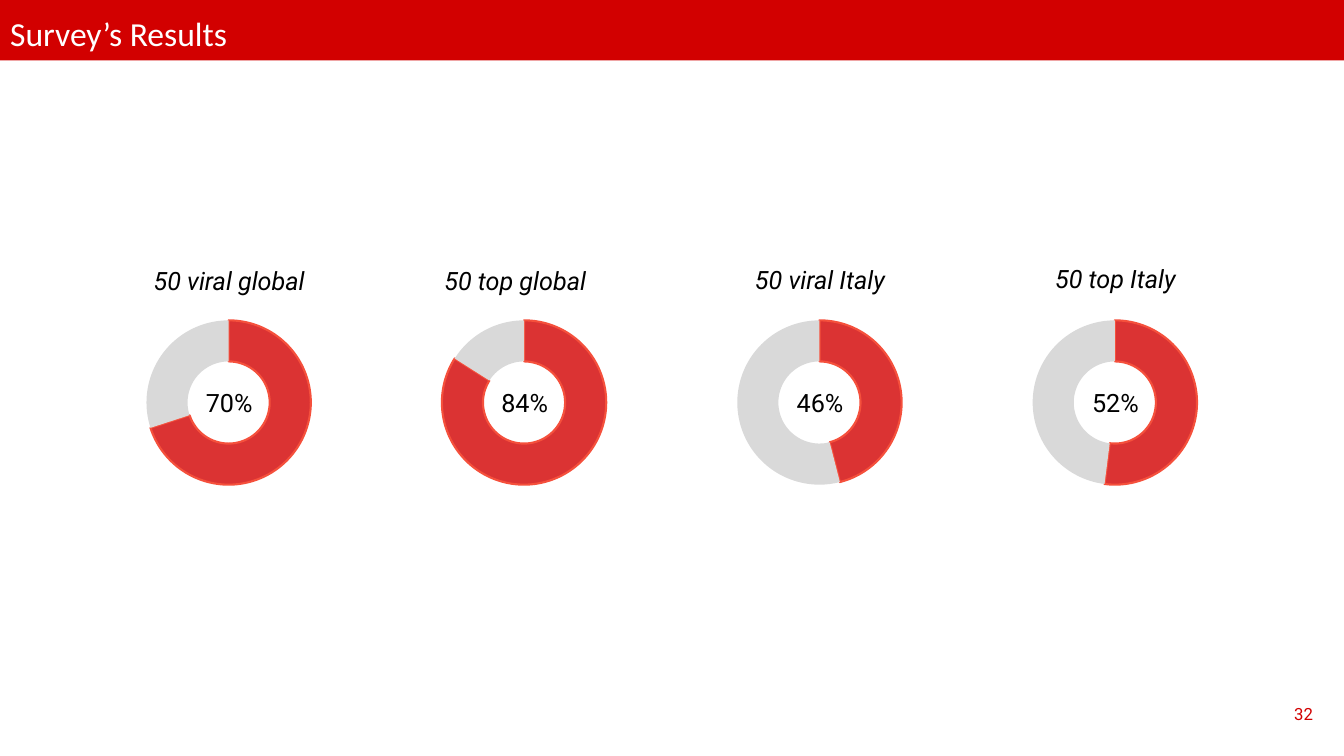
import pptx
import pptx.chart.data
import pptx.dml.color
import pptx.enum.chart
import pptx.enum.shapes
import pptx.enum.text
import pptx.oxml
import pptx.util

Pt = pptx.util.Pt
RGBColor = pptx.dml.color.RGBColor
ALIGN = pptx.enum.text.PP_ALIGN

RED = RGBColor(0xD2, 0x00, 0x00)
ORANGE = RGBColor(0xF5, 0x50, 0x3C)
GREY = RGBColor(0xD9, 0xD9, 0xD9)
BLACK = RGBColor(0x00, 0x00, 0x00)
WHITE = RGBColor(0xFF, 0xFF, 0xFF)

CHART_NAMESPACE = "http://schemas.openxmlformats.org/drawingml/2006/chart"
DRAWING_NAMESPACE = "http://schemas.openxmlformats.org/drawingml/2006/main"

# Playlist, share in percent, label top, label alignment
PLAYLISTS = [
    ("50 viral global", 70, 185.8, ALIGN.CENTER),
    ("50 top global", 84, 185.8, ALIGN.LEFT),
    ("50 viral Italy", 46, 185, ALIGN.CENTER),
    ("50 top Italy", 52, 184.5, ALIGN.CENTER),
]
PITCH = 211
CHART_LEFT, CHART_TOP = 53.3, 219.6
CHART_WIDTH, CHART_HEIGHT = 220.3, 136
RING_DIAMETER = 117.5


def add_text(text, left, top, width, height, size, color, alignment=ALIGN.LEFT):
    box = slide.shapes.add_textbox(Pt(left), Pt(top), Pt(width), Pt(height))
    box.text_frame.word_wrap = True
    box.text_frame.auto_size = pptx.enum.text.MSO_AUTO_SIZE.SHAPE_TO_FIT_TEXT
    paragraph = box.text_frame.paragraphs[0]
    paragraph.text = text
    paragraph.alignment = alignment
    paragraph.font.name = "Roboto"
    paragraph.font.size = Pt(size)
    paragraph.font.color.rgb = color
    return paragraph


def add_doughnut(share, left):
    """Draw a ring of fixed diameter, with the share in red and the rest in grey."""
    data = pptx.chart.data.CategoryChartData()
    data.categories = ["1", "2"]
    data.add_series("Series 1", [share, 100 - share])
    chart = slide.shapes.add_chart(
        pptx.enum.chart.XL_CHART_TYPE.DOUGHNUT,
        Pt(left), Pt(CHART_TOP), Pt(CHART_WIDTH), Pt(CHART_HEIGHT), data,
    ).chart
    chart.has_legend = False
    chart.has_title = False
    chart.font.name = "Calibri"
    chart.font.size = Pt(10)
    chart.font.color.rgb = BLACK

    plot = chart.plots[0]
    plot.vary_by_categories = True
    plot.has_data_labels = False
    share_format, rest_format = [plot.series[0].points[i].format for i in range(2)]
    share_format.fill.solid()
    share_format.fill.fore_color.rgb = RED
    share_format.line.color.rgb = ORANGE
    share_format.line.width = Pt(1.5)
    rest_format.fill.solid()
    rest_format.fill.fore_color.rgb = GREY
    rest_format.line.fill.background()

    chart_space = plot.series[0].format.fill and chart.element
    fill_color = chart_space.find(f".//{{{CHART_NAMESPACE}}}dPt//{{{DRAWING_NAMESPACE}}}srgbClr")
    fill_color.append(pptx.oxml.parse_xml(f'<a:alpha xmlns:a="{DRAWING_NAMESPACE}" val="80000"/>'))
    chart_space.find(f".//{{{CHART_NAMESPACE}}}holeSize").set("val", "75")

    width, height = RING_DIAMETER / CHART_WIDTH, RING_DIAMETER / CHART_HEIGHT
    plot_area = chart_space.find(f".//{{{CHART_NAMESPACE}}}plotArea")
    for layout in plot_area.findall(f"{{{CHART_NAMESPACE}}}layout"):
        plot_area.remove(layout)
    plot_area.insert(0, pptx.oxml.parse_xml(
        f'<c:layout xmlns:c="{CHART_NAMESPACE}"><c:manualLayout>'
        '<c:layoutTarget val="inner"/><c:xMode val="edge"/><c:yMode val="edge"/>'
        f'<c:x val="{(1 - width) / 2:.3f}"/><c:y val="{(1 - height) / 2:.3f}"/>'
        f'<c:w val="{width:.3f}"/><c:h val="{height:.3f}"/>'
        '</c:manualLayout></c:layout>'
    ))


presentation = pptx.Presentation()
presentation.slide_width = Pt(960)
presentation.slide_height = Pt(540)
slide = presentation.slides.add_slide(presentation.slide_layouts[5])

# Title bar
bar = slide.shapes.add_shape(
    pptx.enum.shapes.MSO_SHAPE.RECTANGLE, Pt(0), Pt(0), Pt(960), Pt(43.2)
)
bar.shadow.inherit = False
bar.fill.solid()
bar.fill.fore_color.rgb = RED
bar.line.fill.background()

title = slide.shapes.title
bar.element.addnext(title.element)
title.left, title.top, title.width, title.height = Pt(0), Pt(5.8), Pt(960), Pt(36.3)
title.text_frame.vertical_anchor = pptx.enum.text.MSO_ANCHOR.TOP
title.text_frame.auto_size = pptx.enum.text.MSO_AUTO_SIZE.SHAPE_TO_FIT_TEXT
paragraph = title.text_frame.paragraphs[0]
paragraph.text = "Survey’s Results"
paragraph.alignment = ALIGN.LEFT
paragraph.font.name = "Calibri"
paragraph.font.size = Pt(24)
paragraph.font.color.rgb = WHITE

# One labelled ring for each playlist
for column, (playlist, share, label_top, alignment) in enumerate(PLAYLISTS):
    left = CHART_LEFT + column * PITCH
    add_doughnut(share, left)
    add_text(f"{share}%", left + 82, 272.9, 56.9, 29, 18, BLACK, ALIGN.CENTER)
    label = add_text(playlist, left + 46, label_top, 128.9, 29, 18, BLACK, alignment)
    label.font.italic = True

# Slide number
add_text("32", 917.3, 499, 29.5, 21.8, 12, RED)

presentation.save("out.pptx")
